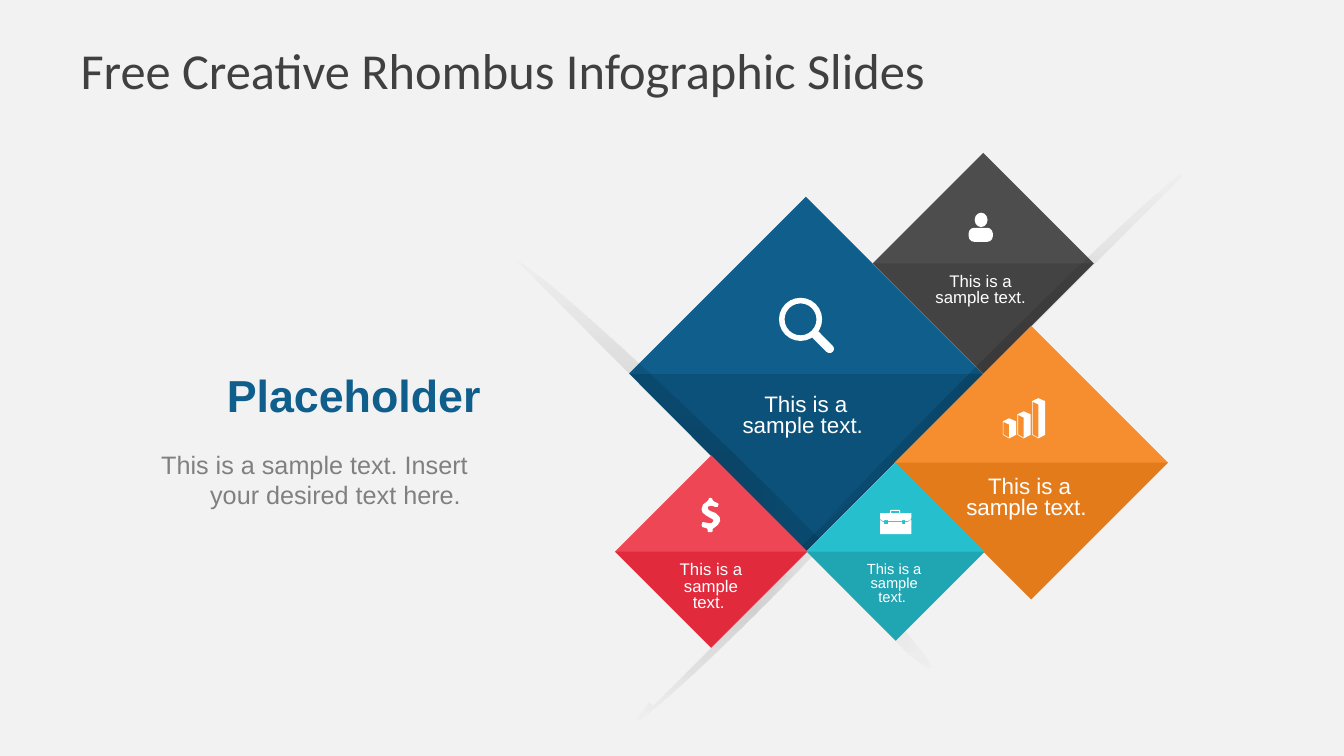
from dataclasses import dataclass
from typing import Optional

import lxml.etree
import pptx
import pptx.dml.color
import pptx.enum.shapes
import pptx.enum.text
import pptx.oxml
import pptx.oxml.ns
import pptx.util

Pt = pptx.util.Pt
RGBColor = pptx.dml.color.RGBColor
MSO_SHAPE = pptx.enum.shapes.MSO_SHAPE
ANCHOR = pptx.enum.text.MSO_ANCHOR
ALIGN = pptx.enum.text.PP_ALIGN
qn = pptx.oxml.ns.qn

BACKGROUND = RGBColor(0xF2, 0xF2, 0xF2)
WHITE = RGBColor(0xFF, 0xFF, 0xFF)
TITLE = RGBColor(0x40, 0x40, 0x40)
BODY = RGBColor(0x80, 0x80, 0x80)
BLUE = RGBColor(0x0F, 0x5E, 0x8C)
DARK_BLUE = RGBColor(0x0B, 0x46, 0x69)
GREY = RGBColor(0x4D, 0x4D, 0x4D)
DARK_GREY = RGBColor(0x3A, 0x3A, 0x3A)
RED = RGBColor(0xEF, 0x46, 0x56)
DARK_RED = RGBColor(0xD5, 0x12, 0x25)
ORANGE = RGBColor(0xF6, 0x8E, 0x2F)
DARK_ORANGE = RGBColor(0xD3, 0x69, 0x09)
TEAL = RGBColor(0x26, 0xBF, 0xCD)
DARK_TEAL = RGBColor(0x1C, 0x8F, 0x9A)

Box = tuple[float, float, float, float]
Points = list[tuple[float, float]]

GRADIENT = (
    '<a:gradFill xmlns:a="http://schemas.openxmlformats.org/drawingml/2006/main" rotWithShape="1">'
    '<a:gsLst><a:gs pos="0"><a:srgbClr val="000000"><a:alpha val="14000"/></a:srgbClr></a:gs>'
    '<a:gs pos="100000"><a:srgbClr val="000000"><a:alpha val="0"/></a:srgbClr></a:gs></a:gsLst>'
    '<a:path path="shape"><a:fillToRect l="50000" t="50000" r="50000" b="50000"/></a:path>'
    '</a:gradFill>'
)

DOLLAR: Points = [
    (14, 15), (9, 13), (7, 12), (6, 9), (8, 8), (11, 8), (14, 9), (16, 9), (17, 6), (16, 5),
    (13, 4), (11, 2), (10.5, 0.5), (9, 0), (8, 0), (7, 1), (7, 2), (5, 4), (1.5, 6.5), (0, 11),
    (1, 14.5), (4, 17), (9, 20), (11, 21), (12, 23), (10, 25), (7, 25), (2, 24), (1, 24), (0, 27),
    (1, 29), (5, 30), (6, 31), (6, 33), (7, 34), (10, 34), (11, 33), (11, 31), (12, 30),
    (16, 27), (18.5, 23), (18, 19),
]
CASE_TOP: Points = [
    (8, 10), (8, 11), (22, 11), (22, 10), (25, 10), (25, 11), (27, 11), (30, 10), (31, 8),
    (31, 3), (20, 3), (20, 0.5), (19.5, 0), (10.5, 0), (10, 0.5), (10, 3), (0, 3), (0, 9),
    (3, 11), (4, 11), (4, 10),
]
CASE_HANDLE: Points = [(11, 1), (19, 1), (19, 3), (11, 3)]
CASE_BOTTOM: Points = [
    (25, 14), (25, 12), (27, 12), (31, 10), (31, 24), (0, 24), (0, 10), (3, 12), (4, 12),
    (4, 14), (8, 14), (8, 12), (22, 12), (22, 14),
]


@dataclass
class Rhombus:
    cx: float
    cy: float
    side: float
    color: RGBColor
    shade: RGBColor
    text_box: Box
    size: float
    anchor: ANCHOR = ANCHOR.MIDDLE


@dataclass
class Shadow:
    box: Box
    angle: float


BLUE_TILE = Rhombus(575.6, 267.3, 179.3, BLUE, DARK_BLUE, (514.1, 278.6, 123.1, 38.2), 16)
GREY_TILE = Rhombus(702.4, 188.1, 111.6, GREY, DARK_GREY, (660.2, 192.2, 80.6, 30.2), 12)
RED_TILE = Rhombus(508, 394, 97.2, RED, DARK_RED, (473, 398.2, 69.8, 42.5), 12)
ORANGE_TILE = Rhombus(736.6, 330.5, 138.2, ORANGE, DARK_ORANGE, (673.9, 337, 123.1, 38.2), 16)
TEAL_TILE = Rhombus(639.8, 394, 90, TEAL, DARK_TEAL, (610.6, 398.9, 56.2, 38.2), 10.5, ANCHOR.TOP)


def paint(sp, color: RGBColor, alpha: Optional[int] = None) -> None:
    sp.shadow.inherit = False
    sp.line.fill.background()
    sp.fill.solid()
    sp.fill.fore_color.rgb = color
    if alpha is not None:
        clr = sp.fill._xPr.find(qn("a:solidFill"))[0]
        lxml.etree.SubElement(clr, qn("a:alpha")).set("val", str(alpha * 1000))


def add_preset(s, kind: MSO_SHAPE, box: Box, color: RGBColor, angle: float = 0,
               adjust: Optional[float] = None):
    sp = s.shapes.add_shape(kind, *map(Pt, box))
    sp.rotation = angle
    if adjust is not None:
        sp.adjustments[0] = adjust
    paint(sp, color)
    return sp


def add_outline(s, contours: list[Points], color: RGBColor, alpha: Optional[int] = None,
                left: float = 0, top: float = 0, unit: float = 1) -> None:
    placed = [[(Pt(left + unit * x), Pt(top + unit * y)) for x, y in c] for c in contours]
    builder = s.shapes.build_freeform(*placed[0][0], scale=1.0)
    for i, points in enumerate(placed):
        if i:
            builder.move_to(*points[0])
        builder.add_line_segments(points[1:], close=True)
    paint(builder.convert_to_shape(), color, alpha)


def add_text(s, text: str, box: Box, *, size: float, color: RGBColor, font: str = "Arial",
             bold: bool = False, align: ALIGN = ALIGN.LEFT, anchor: ANCHOR = ANCHOR.TOP,
             spacing: float = 1.0, inset: tuple[float, float] = (7.2, 3.6),
             grow: bool = True) -> None:
    tf = s.shapes.add_textbox(*map(Pt, box)).text_frame
    tf.word_wrap = True
    fit = pptx.enum.text.MSO_AUTO_SIZE
    tf.auto_size = fit.SHAPE_TO_FIT_TEXT if grow else fit.NONE
    tf.vertical_anchor = anchor
    tf.margin_left = tf.margin_right = Pt(inset[0])
    tf.margin_top = tf.margin_bottom = Pt(inset[1])
    p = tf.paragraphs[0]
    p.alignment = align
    p.line_spacing = spacing
    r = p.add_run()
    r.text = text
    r.font.name, r.font.size, r.font.bold = font, Pt(size), bold
    r.font.color.rgb = color


def add_rhombus(s, tile: Rhombus) -> None:
    half = tile.side / 2
    reach = half * 2 ** 0.5
    add_preset(s, MSO_SHAPE.RECTANGLE,
               (tile.cx - half, tile.cy - half, tile.side, tile.side), tile.color, 45)
    lower = [(tile.cx - reach, tile.cy), (tile.cx + reach, tile.cy), (tile.cx, tile.cy + reach)]
    add_outline(s, [lower], tile.shade, 50)
    add_text(s, "This is a sample text. ", tile.text_box, size=tile.size, color=WHITE,
             align=ALIGN.CENTER, anchor=tile.anchor, spacing=0.8)


def add_shadow(s, shadow: Shadow) -> None:
    sp = add_preset(s, MSO_SHAPE.OVAL, shadow.box, BACKGROUND, shadow.angle)
    solid = sp.fill._xPr.find(qn("a:solidFill"))
    solid.getparent().replace(solid, pptx.oxml.parse_xml(GRADIENT))


def add_bars(s) -> None:
    bottom, width, mid = 313.2, 9.4, 4.5
    for i, top in enumerate((298.8, 293.8, 284.4)):
        x = 716.4 + 10.4 * i
        outer = [(x, top + 2.2), (x + mid, top), (x + width, top + 2.2),
                 (x + width, bottom - 2.6), (x + mid, bottom), (x, bottom - 2.6)]
        face = [(x + 0.4, top + 2.6), (x + mid, top + 4.5), (x + mid, bottom - 0.5),
                (x + 0.4, bottom - 2.8)]
        add_outline(s, [outer, face], WHITE)


def main() -> None:
    prs = pptx.Presentation()
    prs.slide_width, prs.slide_height = Pt(960), Pt(540)
    s = prs.slides.add_slide(prs.slide_layouts[6])
    s.background.fill.solid()
    s.background.fill.fore_color.rgb = BACKGROUND

    add_rhombus(s, BLUE_TILE)
    add_preset(s, MSO_SHAPE.DONUT, (556.4, 212.7, 30.8, 30.8), WHITE, adjust=0.13)
    add_preset(s, MSO_SHAPE.ROUNDED_RECTANGLE, (577.3, 241, 20.5, 6.2), WHITE, 45, 0.5)
    add_shadow(s, Shadow((307.4, 320.4, 416.9, 22.3), 44.3))
    add_outline(s, [[(361.4, 178.6), (659.5, 478.1), (533.5, 413.3), (414.7, 310.3)]], BACKGROUND)

    add_rhombus(s, GREY_TILE)
    add_preset(s, MSO_SHAPE.OVAL, (696.2, 151.9, 9.2, 10.3), WHITE)
    add_preset(s, MSO_SHAPE.ROUNDED_RECTANGLE, (691.9, 162.7, 17.3, 10.1), WHITE, adjust=0.4)
    add_shadow(s, Shadow((481, 267.8, 426.2, 14.4), 315))
    add_preset(s, MSO_SHAPE.RECTANGLE, (697.7, 79.2, 43.2, 405.4), BACKGROUND, 45)
    add_shadow(s, Shadow((421.2, 427, 230.4, 12.2), 135))
    add_preset(s, MSO_SHAPE.RECTANGLE, (492.5, 365, 31.7, 149.8), BACKGROUND, 225)

    add_text(s, "Free Creative Rhombus Infographic Slides", (48, 21.6, 864, 56.2), size=36,
             color=TITLE, font="Calibri", anchor=ANCHOR.MIDDLE, inset=(9.6, 4.8), grow=False)
    add_text(s, "This is a sample text. Insert your desired text here. ",
             (103.7, 317.5, 237.6, 51.1), size=18, color=BODY, align=ALIGN.RIGHT)
    add_text(s, "Placeholder", (103, 258.5, 247.7, 46.1), size=32, color=BLUE, bold=True,
             align=ALIGN.RIGHT, anchor=ANCHOR.BOTTOM)

    add_rhombus(s, RED_TILE)
    add_outline(s, [DOLLAR], WHITE, left=501.1, top=355.7, unit=0.72)
    add_rhombus(s, ORANGE_TILE)
    add_bars(s)
    add_rhombus(s, TEAL_TILE)
    add_outline(s, [CASE_TOP, CASE_HANDLE, CASE_BOTTOM], WHITE, left=628.6, top=364.3, unit=0.72)
    prs.save("out.pptx")


if __name__ == "__main__":
    main()
